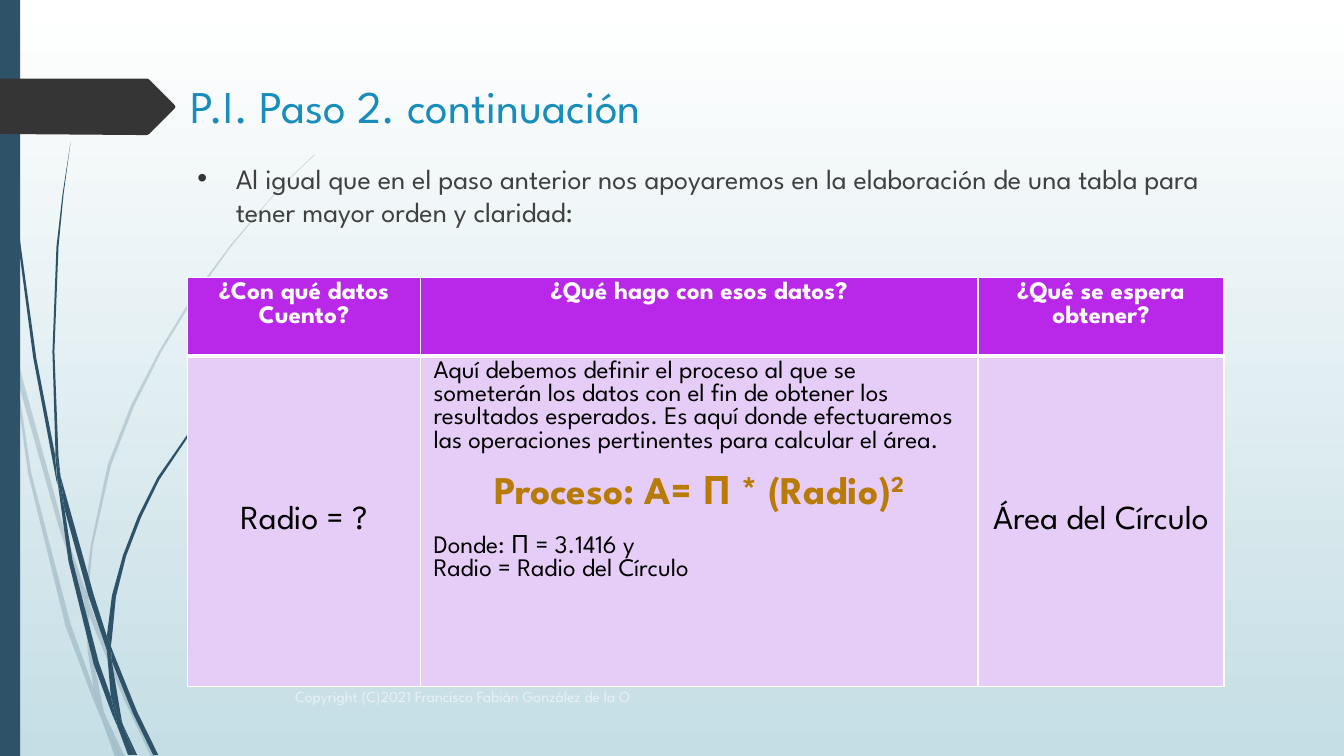
"""Build the slide on step two: a table of data, process and result."""
from dataclasses import dataclass
from typing import Optional

from lxml import etree
from pptx import Presentation
from pptx.dml.color import RGBColor
from pptx.enum.shapes import MSO_SHAPE
from pptx.enum.text import MSO_ANCHOR, PP_ALIGN
from pptx.oxml.ns import qn
from pptx.util import Pt

PX = 9144
FONT = "League Spartan"
LEFT, MID = PP_ALIGN.LEFT, PP_ALIGN.CENTER
TOP, HALF = MSO_ANCHOR.TOP, MSO_ANCHOR.MIDDLE
RECT = MSO_SHAPE.RECTANGLE
WHITE = RGBColor(0xFF, 0xFF, 0xFF)
BLACK = RGBColor(0x00, 0x00, 0x00)
MIST = RGBColor(0xC5, 0xDE, 0xE5)
NAVY = RGBColor(0x2E, 0x53, 0x69)
COAL = RGBColor(0x35, 0x35, 0x35)
GREY = RGBColor(0x40, 0x40, 0x40)
BLUE = RGBColor(0x17, 0x8D, 0xBB)
GRAPE = RGBColor(0xB9, 0x27, 0xE9)
LILAC = RGBColor(0xE6, 0xCD, 0xF7)
GOLD = RGBColor(0xB8, 0x7B, 0x06)

Dots = tuple[tuple[int, int], ...]


@dataclass
class Span:
    """A run of text in one style."""
    text: str
    size: float
    color: RGBColor
    bold: bool = False
    raised: bool = False


@dataclass
class Para:
    """A paragraph with its spacing in points."""
    spans: list[Span]
    align: PP_ALIGN = LEFT
    before: float = 0
    lines: Optional[float] = None


@dataclass
class Box:
    """A text box in px."""
    left: int
    top: int
    width: int
    height: int
    para: Para
    anchor: MSO_ANCHOR = TOP


@dataclass
class Cell:
    """A table cell."""
    paras: list[Para]
    fill: RGBColor
    anchor: MSO_ANCHOR = TOP


PALE: list[Dots] = [
    ((11, 350), (9, 322), (0, 282), (0, 299), (10, 344)),
    ((58, 522), (84, 599), (85, 586), (62, 520), (14, 345), (17, 376)),
    ((92, 607), (88, 596), (88, 610), (123, 694), (150, 751), (155, 751), (127, 692)),
    ((119, 751), (124, 751), (105, 711)),
    ((93, 683), (70, 619), (31, 469), (17, 376), (11, 350), (28, 470), (65, 621), (92, 693),
     (101, 714), (99, 707)),
    ((84, 599), (87, 646), (93, 683), (96, 692), (105, 711), (103, 706), (91, 646), (88, 610),
     (88, 608)),
    ((88, 584), (92, 542), (110, 462), (133, 403), (160, 349), (193, 295), (229, 245),
     (268, 198), (290, 175), (312, 154), (312, 153), (289, 175), (268, 197), (228, 244),
     (191, 294), (158, 348), (130, 402), (107, 461), (90, 541), (85, 584), (85, 586), (88, 596)),
    ((101, 714), (114, 751), (119, 751)),
    ((88, 608), (88, 610), (88, 596), (85, 586), (84, 599)),
    ((96, 692), (93, 683), (99, 707), (101, 714), (119, 751), (105, 711)),
]
DARK: list[Dots] = [
    ((7, 110), (17, 233), (33, 355), (56, 477), (57, 481), (55, 457), (55, 453), (36, 355),
     (19, 232), (8, 109), (5, 48), (4, 0), (3, 0), (4, 48)),
    ((88, 592), (106, 645), (106, 633), (106, 631), (93, 590), (60, 472), (64, 505)),
    ((113, 649), (110, 641), (111, 656), (132, 708), (152, 749), (157, 749), (136, 706)),
    ((110, 691), (98, 657), (72, 556), (64, 505), (57, 477), (68, 557), (93, 659), (111, 708),
     (117, 722), (116, 717)),
    ((60, 472), (58, 453), (54, 349), (58, 245), (63, 193), (70, 141), (62, 193), (56, 245),
     (52, 349), (55, 449)),
    ((133, 749), (136, 749), (122, 719)),
    ((57, 477), (64, 505), (60, 472), (55, 449), (55, 453)),
    ((111, 633), (115, 592), (125, 552), (140, 513), (158, 476), (205, 406), (231, 374),
     (245, 359), (261, 344), (260, 344), (245, 358), (231, 373), (204, 405), (156, 474),
     (137, 512), (122, 551), (111, 591), (106, 631), (110, 641)),
    ((117, 722), (127, 749), (131, 749)),
    ((106, 645), (110, 691), (116, 706), (122, 719), (121, 716), (111, 656), (109, 651)),
    ((106, 645), (109, 651), (111, 656), (110, 641), (106, 631), (106, 633)),
    ((116, 706), (110, 691), (116, 717), (117, 722), (130, 749), (133, 749), (122, 719)),
]
ARROW: Dots = ((173, 108), (148, 133), (146, 134), (136, 134), (0, 133), (0, 78), (146, 78),
               (148, 79), (173, 104), (174, 106))

TITLE = Box(179, 73, 975, 56, Para([Span("P.I. Paso 2. continuación", 32.4, BLUE)]))
INTRO = Box(186, 155, 1029, 94, Para([Span(
    "Al igual que en el paso anterior nos apoyaremos en la elaboración de una tabla "
    "para tener mayor orden y claridad:", 20, GREY)]))
NOTICE = Box(283, 671, 833, 40, Para([Span(
    "Copyright (C)2021 Francisco Fabián González de la O", 11, WHITE)]), HALF)

HEADS = ["¿Con qué datos Cuento?", "¿Qué hago con esos datos?", "¿Qué se espera obtener?"]
STEPS = [
    Para([Span("Aquí debemos definir el proceso al que se someterán los datos con el fin de "
               "obtener los resultados esperados. Es aquí donde efectuaremos las operaciones "
               "pertinentes para calcular el área.", 18, BLACK)]),
    Para([Span("Proceso: A= Π * (Radio)", 28, GOLD, True), Span("2", 28, GOLD, True, True)],
         MID, 16.5),
    Para([Span("Donde: Π = 3.1416 y", 18, BLACK)], LEFT, 16.5),
    Para([Span("Radio = Radio del Círculo", 18, BLACK)]),
]
GRID = [
    [Cell([Para([Span(head, 18, WHITE, True)], MID)], GRAPE) for head in HEADS],
    [Cell([Para([Span("Radio = ?", 24, BLACK)], MID)], LILAC, HALF),
     Cell(STEPS, LILAC),
     Cell([Para([Span("Área del Círculo", 24, BLACK)], MID)], LILAC, HALF)],
]
COLS, ROWS = [231, 553, 244], [78, 328]


def fade(fill, alpha: int) -> None:
    """Give a solid fill or font colour an opacity in percent."""
    tint = fill.find(".//" + qn("a:srgbClr"))
    etree.SubElement(tint, qn("a:alpha"), val=str(alpha * 1000))


def paint(shape, color: RGBColor) -> None:
    """Fill a shape flat, with no line or shadow."""
    shape.shadow.inherit = False
    shape.fill.solid()
    shape.fill.fore_color.rgb = color
    shape.line.fill.background()


def trace(shapes, dots: Dots, color: RGBColor, alpha: int = 100):
    """Draw a closed outline through the dots."""
    pen = shapes.build_freeform(*dots[0], scale=PX)
    pen.add_line_segments(dots[1:], close=True)
    shape = pen.convert_to_shape()
    paint(shape, color)
    if alpha < 100:
        fade(shape.fill._xPr, alpha)
    return shape


def write(frame, paras: list[Para]) -> None:
    """Add paragraphs to a text frame, run by run."""
    frame.word_wrap = True
    for i, para in enumerate(paras):
        line = frame.add_paragraph() if i else frame.paragraphs[0]
        line.alignment, line.space_before = para.align, Pt(para.before)
        if para.lines:
            line.line_spacing = para.lines
        for span in para.spans:
            run = line.add_run()
            run.text = span.text
            font = run.font
            font.name, font.size, font.bold = FONT, Pt(span.size), span.bold
            font.color.rgb = span.color
            if span.raised:
                font._element.set("baseline", "30000")


def place(shapes, box: Box):
    """Add a text box and return its paragraph."""
    shape = shapes.add_textbox(*(n * PX for n in (box.left, box.top, box.width, box.height)))
    shape.text_frame.vertical_anchor = box.anchor
    write(shape.text_frame, [box.para])
    return shape.text_frame.paragraphs[0]


def edge(cell, thick: int) -> None:
    """Rule a cell in white, with the given bottom width in points."""
    props = cell._tc.get_or_add_tcPr()
    for i, side in enumerate(("lnL", "lnR", "lnT", "lnB")):
        rule = etree.Element(qn("a:" + side), w=str(Pt(thick if side == "lnB" else 1)))
        solid = etree.SubElement(rule, qn("a:solidFill"))
        etree.SubElement(solid, qn("a:srgbClr"), val=str(WHITE))
        props.insert(i, rule)


def chart_grid(shapes) -> None:
    """Add the table of data, process and result."""
    table = shapes.add_table(len(ROWS), len(COLS), 186 * PX, 275 * PX,
                             sum(COLS) * PX, sum(ROWS) * PX).table
    table.horz_banding = False
    for col, width in zip(table.columns, COLS):
        col.width = width * PX
    for r, (row, height) in enumerate(zip(table.rows, ROWS)):
        row.height = height * PX
        for cell, item in zip(row.cells, GRID[r]):
            cell.margin_left = cell.margin_right = 13 * PX
            cell.margin_top = cell.margin_bottom = 5 * PX
            cell.vertical_anchor = item.anchor
            cell.fill.solid()
            cell.fill.fore_color.rgb = item.fill
            edge(cell, 1 if r else 3)
            write(cell.text_frame, item.paras)


def main() -> None:
    """Draw the slide and save it."""
    deck = Presentation()
    deck.slide_width, deck.slide_height = 1333 * PX, 750 * PX
    slide = deck.slides.add_slide(deck.slide_layouts[6])
    shapes = slide.shapes
    back = slide.background.fill
    back.gradient()
    back.gradient_angle = 270
    for stop, color in zip(back.gradient_stops, (WHITE, MIST)):
        stop.color.rgb = color
    for blades, alpha in ((PALE, 20), (DARK, 100)):
        shapes.add_group_shape([trace(shapes, dots, NAVY, alpha) for dots in blades])
    paint(shapes.add_shape(RECT, 0, 0, 20 * PX, 750 * PX), NAVY)
    trace(shapes, ARROW, COAL)
    place(shapes, TITLE)
    props = place(shapes, INTRO)._p.get_or_add_pPr()
    props.set("marL", str(38 * PX))
    props.set("indent", str(-38 * PX))
    tint = etree.SubElement(props, qn("a:buClr"))
    etree.SubElement(tint, qn("a:srgbClr"), val=str(COAL))
    etree.SubElement(props, qn("a:buFont"), typeface="Arial")
    etree.SubElement(props, qn("a:buChar"), char="•")
    fade(place(shapes, NOTICE).runs[0]._r, 60)
    chart_grid(shapes)
    deck.save("out.pptx")


if __name__ == "__main__":
    main()
